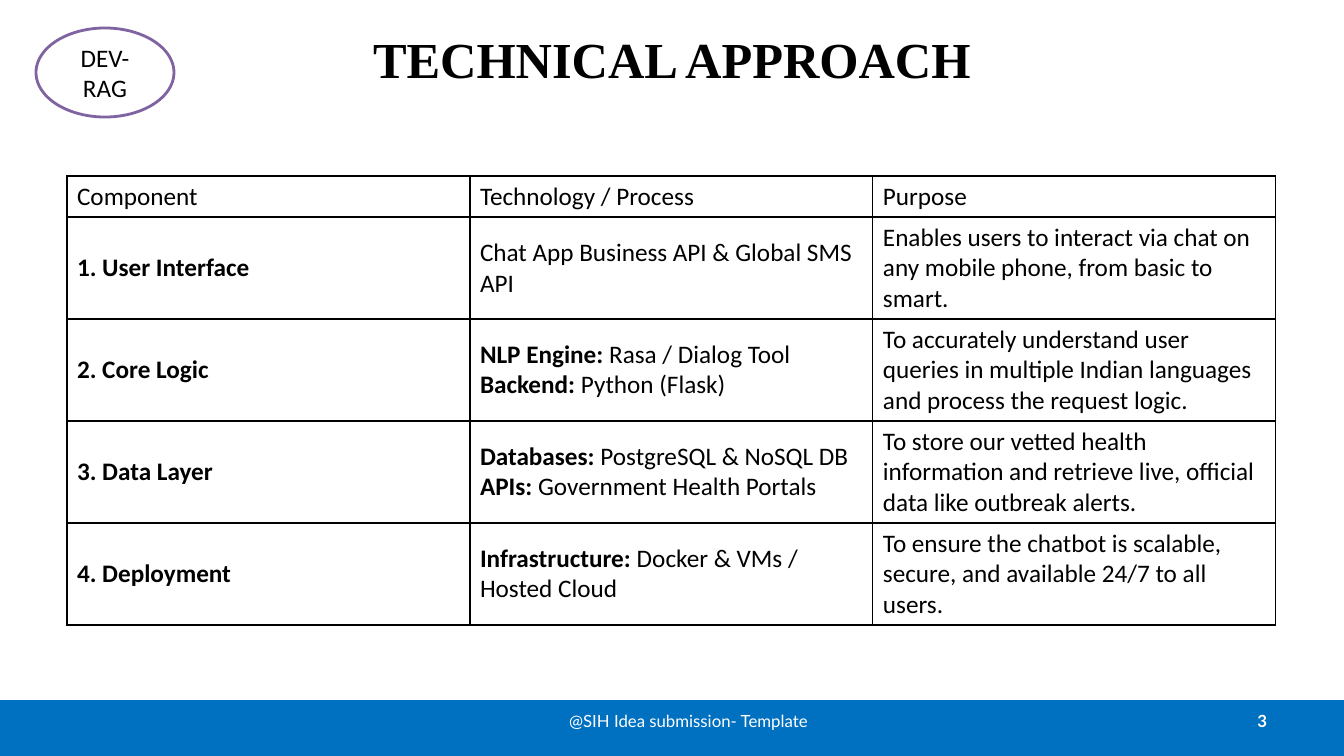
from lxml import etree
from pptx import Presentation
from pptx import util as u
from pptx.dml.color import RGBColor
from pptx.enum import shapes, text
from pptx.oxml import ns

PX = 914400 / 100.8
BLACK, WHITE, BLUE, PURPLE = "000000", "FFFFFF", "0070C0", "8064A2"
HEADINGS = ["Component", "Technology / Process", "Purpose"]
COMPONENTS = [
    ("1. User Interface",
     ["Chat App Business API & Global SMS API"],
     "Enables users to interact via chat on any mobile phone, from basic to smart."),
    ("2. Core Logic",
     ["NLP Engine:", " Rasa / Dialog Tool ", "Backend:", " Python (Flask)"],
     "To accurately understand user queries in multiple Indian languages "
     "and process the request logic."),
    ("3. Data Layer",
     ["Databases:", " PostgreSQL & NoSQL DB ", "APIs:", " Government Health Portals"],
     "To store our vetted health information and retrieve live, official data "
     "like outbreak alerts."),
    ("4. Deployment",
     ["Infrastructure:", " Docker & VMs / Hosted Cloud"],
     "To ensure the chatbot is scalable, secure, and available 24/7 to all users."),
]


def px(*lengths):
    """Turn whole pixels into EMU."""
    return [u.Emu(round(length * PX)) for length in lengths]


def color(code):
    """Turn a hex string into a colour."""
    return RGBColor.from_string(code)


def style(run, size, font, code, bold=False):
    """Format one run."""
    run.font.size = u.Pt(size)
    run.font.name = font
    run.font.bold = bold
    run.font.color.rgb = color(code)


def write(frame, words, size, font, code, bold=False, align=text.PP_ALIGN.CENTER):
    """Fill a frame with one centred-height paragraph."""
    frame.text = words
    frame.word_wrap = True
    frame.vertical_anchor = text.MSO_ANCHOR.MIDDLE
    paragraph = frame.paragraphs[0]
    paragraph.alignment = align
    style(paragraph.runs[0], size, font, code, bold)


def add_title(slide, words):
    """Place the slide title."""
    title = slide.shapes.title
    title.left, title.top, title.width, title.height = px(67, -5, 1210, 126)
    write(title.text_frame, words, 36, "Times New Roman", BLACK, True)


def add_filled(slide, kind, box, fill):
    """Add a flat shape without an outline."""
    shape = slide.shapes.add_shape(kind, *px(*box))
    shape.shadow.inherit = False
    shape.fill.solid()
    shape.fill.fore_color.rgb = color(fill)
    shape.line.fill.background()
    return shape


def add_footer_text(slide, box, words, bold, align):
    """Add a white label on the footer band."""
    label = slide.shapes.add_textbox(*px(*box))
    write(label.text_frame, words, 12, "Lato", WHITE, bold, align)


def add_team_badge(slide, words):
    """Add the outlined team oval."""
    badge = add_filled(slide, shapes.MSO_SHAPE.OVAL, (36, 28, 138, 89), WHITE)
    badge.line.color.rgb = color(PURPLE)
    badge.line.width = u.Pt(2)
    write(badge.text_frame, words, 18, "Calibri", BLACK)


def add_borders(cell):
    """Draw a thin black line on every side of a cell."""
    properties = cell._tc.get_or_add_tcPr()
    for index, side in enumerate(("a:lnL", "a:lnR", "a:lnT", "a:lnB")):
        line = etree.Element(ns.qn(side), w=str(u.Pt(1)))
        fill = etree.SubElement(line, ns.qn("a:solidFill"))
        etree.SubElement(fill, ns.qn("a:srgbClr"), val=BLACK)
        properties.insert(index, line)


def fill_cell(cell, parts, bold):
    """Write a cell, with labels that end in a colon in bold."""
    cell.fill.background()
    cell.vertical_anchor = text.MSO_ANCHOR.MIDDLE
    paragraph = cell.text_frame.paragraphs[0]
    for part in parts:
        run = paragraph.add_run()
        run.text = part
        style(run, 18, "Calibri", BLACK, bold or part.endswith(":"))
    add_borders(cell)


def add_component_table(slide):
    """Add the table of components, technologies and purposes."""
    rows = [[[heading] for heading in HEADINGS]]
    rows += [[[name], technology, [purpose]] for name, technology, purpose in COMPONENTS]
    table = slide.shapes.add_table(len(rows), 3, *px(67, 176, 1209, 449)).table
    table.first_row = table.horz_banding = False
    for r, row in enumerate(rows):
        table.rows[r].height = px(102 if r else 41)[0]
        for c, parts in enumerate(row):
            fill_cell(table.cell(r, c), parts, r > 0 and c == 0)


def main():
    """Build and save the slide."""
    deck = Presentation()
    deck.slide_width, deck.slide_height = px(1344, 756)
    slide = deck.slides.add_slide(deck.slide_layouts[5])
    add_filled(slide, shapes.MSO_SHAPE.RECTANGLE, (0, 700, 1344, 56), BLUE)
    add_title(slide, "TECHNICAL APPROACH")
    add_footer_text(slide, (964, 700, 313, 41), "3", True, text.PP_ALIGN.RIGHT)
    add_footer_text(slide, (512, 700, 353, 41), "@SIH Idea submission- Template",
                    False, text.PP_ALIGN.CENTER)
    add_team_badge(slide, "DEV-RAG")
    add_component_table(slide)
    deck.save("out.pptx")


if __name__ == "__main__":
    main()
